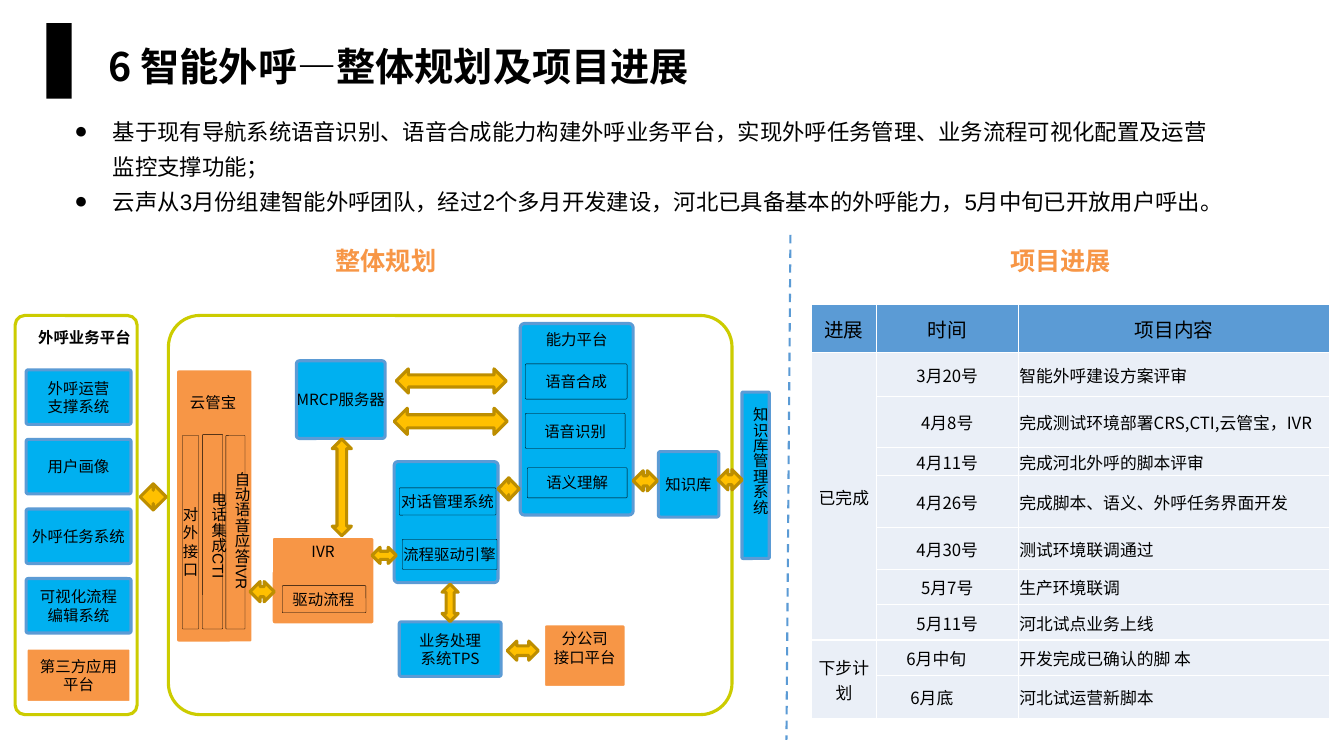
import lxml.etree
import pptx
import pptx.dml.color
import pptx.enum.dml
import pptx.enum.shapes
import pptx.enum.text
import pptx.oxml.ns
import pptx.util

PX = 9144  # EMU per px, 100 px to the inch
CJK = "Noto Sans CJK SC"
COLORS = {
    "ink": "000000", "white": "FFFFFF", "blue": "00B0F0", "edge": "5B9BD5",
    "orange": "F79646", "gold": "FFC000", "bronze": "BD8E00",
    "olive": "CCCC00", "pale": "EAEFF7",
}
# fill, line colour, line width in points
STYLES = {
    "system": ("blue", "edge", 2.25),
    "partner": ("orange", "white", 2.25),
    "module": ("blue", "ink", 0.25),
    "channel": ("orange", "ink", 0.25),
    "caption": ("orange", None, 0),
    "zone": (None, "olive", 2.25),
    "flow": ("gold", "bronze", 2.25),
    "marker": ("ink", None, 0),
}
SHAPES = pptx.enum.shapes.MSO_SHAPE
ALIGN = pptx.enum.text.PP_ALIGN
ANCHOR = pptx.enum.text.MSO_ANCHOR
GROW = pptx.enum.text.MSO_AUTO_SIZE.SHAPE_TO_FIT_TEXT

BULLETS = [
    "基于现有导航系统语音识别、语音合成能力构建外呼业务平台，实现外呼任务管理、业务流程可视化配置及运营监控支撑功能；",
    "云声从3月份组建智能外呼团队，经过2个多月开发建设，河北已具备基本的外呼能力，5月中旬已开放用户呼出。",
]
PLATFORM_SYSTEMS = [
    ("外呼运营\n支撑系统", "system"), ("用户画像", "system"),
    ("外呼任务系统", "system"), ("可视化流程\n编辑系统", "system"),
    ("第三方应用\n平台", "partner"),
]
# text, frame, style, anchor
BOXES = [
    ("", (167, 313, 559, 396), "zone", ANCHOR.MIDDLE),
    ("", (15, 313, 121, 396), "zone", ANCHOR.MIDDLE),
    ("能力平台", (516, 321, 112, 190), "system", ANCHOR.TOP),
    ("", (391, 458, 103, 120), "system", ANCHOR.MIDDLE),
    ("", (736, 389, 27, 165), "system", ANCHOR.MIDDLE),
    ("", (174, 366, 77, 272), "partner", ANCHOR.MIDDLE),
    ("分公司\n接口平台", (539, 619, 82, 63), "partner", ANCHOR.TOP),
    ("IVR", (269, 532, 103, 88), "partner", ANCHOR.TOP),
    ("语音合成", (521, 361, 101, 35), "module", ANCHOR.MIDDLE),
    ("语音识别", (521, 410, 99, 35), "module", ANCHOR.MIDDLE),
    ("语义理解", (523, 464, 99, 30), "module", ANCHOR.MIDDLE),
    ("MRCP服务器", (294, 358, 88, 77), "system", ANCHOR.MIDDLE),
    ("知识库", (653, 448, 60, 65), "system", ANCHOR.MIDDLE),
    ("云管宝", (185, 370, 53, 58), "caption", ANCHOR.MIDDLE),
    ("", (201, 431, 20, 193), "channel", ANCHOR.MIDDLE),
    ("", (224, 432, 19, 192), "channel", ANCHOR.MIDDLE),
    ("业务处理\n系统TPS", (396, 617, 101, 54), "system", ANCHOR.MIDDLE),
    ("对话管理系统", (396, 484, 96, 27), "module", ANCHOR.MIDDLE),
    ("流程驱动引擎", (399, 535, 94, 30), "module", ANCHOR.MIDDLE),
]
# frame, rotation
FLOWS = [
    ((503, 636, 31, 19), 0), ((494, 474, 21, 22), 0), ((369, 543, 24, 16), 0),
    ((139, 480, 26, 26), 0), ((291, 474, 96, 19), 270), ((393, 366, 109, 24), 0),
    ((391, 405, 112, 26), 0), ((628, 467, 24, 20), 0), ((248, 577, 24, 20), 0),
    ((428, 590, 37, 16), 270), ((712, 466, 24, 20), 0),
]
VERTICAL_LABELS = [
    ("知识库管理系统", (729, 394, 39, 181)),
    ("自动语音应答IVR", (215, 458, 39, 183)),
    ("电话集成CTI", (192, 478, 39, 145)),
]
COLUMN_WIDTHS = [64, 141, 309]
ROW_HEIGHTS = [48, 43, 51, 28, 51, 42, 35, 35, 35, 43]
PROGRESS = [
    ("进展", "时间", "项目内容"),
    ("已完成", "3月20号", "智能外呼建设方案评审"),
    ("", "4月8号", "完成测试环境部署CRS,CTI,云管宝，IVR"),
    ("", "4月11号", "完成河北外呼的脚本评审"),
    ("", "4月26号", "完成脚本、语义、外呼任务界面开发"),
    ("", "4月30号", "测试环境联调通过"),
    ("", "5月7号", "生产环境联调"),
    ("", "5月11号", "河北试点业务上线"),
    ("下步计划", "6月中旬", "开发完成已确认的脚 本"),
    ("", "6月底", "河北试运营新脚本"),
]
DATE_INDENTS = {8: 30, 9: 34}  # left-aligned dates, by row


def emu(lengths):
    return [length * PX for length in lengths]


def rgb(name):
    return pptx.dml.color.RGBColor.from_string(COLORS[name])


def apply_format(target, values):
    for name, value in values.items():
        setattr(target, name, value)


def add_xml(parent, tag, **attributes):
    return lxml.etree.SubElement(parent, pptx.oxml.ns.qn(tag), attributes)


def write_text(frame, text, size=11, color="ink", bold=False, latin=CJK, **paragraph_format):
    """Fill a text frame, one paragraph per line of text."""
    frame.text = text
    for paragraph in frame.paragraphs:
        apply_format(paragraph, paragraph_format)
        for run in paragraph.runs:
            run.font.color.rgb = rgb(color)
            apply_format(run.font, {"size": pptx.util.Pt(size), "bold": bold, "name": latin})
            add_xml(run._r.get_or_add_rPr(), "a:ea", typeface=CJK)


def add_block(slide, kind, frame, style):
    fill, line, width = STYLES[style]
    block = slide.shapes.add_shape(kind, *emu(frame))
    block.shadow.inherit = False
    if fill:
        block.fill.solid()
        block.fill.fore_color.rgb = rgb(fill)
    else:
        block.fill.background()
    if line:
        block.line.color.rgb = rgb(line)
        block.line.width = pptx.util.Pt(width)
    else:
        block.line.fill.background()
    return block


def add_box(slide, text, frame, style, anchor=ANCHOR.MIDDLE, align=ALIGN.CENTER):
    box = add_block(slide, SHAPES.ROUNDED_RECTANGLE, frame, style)
    box.adjustments[0] = 0.079 if style == "zone" else 0.037
    if text:
        apply_format(box.text_frame, {"word_wrap": False, "vertical_anchor": anchor})
        write_text(box.text_frame, text, alignment=align)
    return box


def add_label(slide, text, frame, frame_format, **text_format):
    label = slide.shapes.add_textbox(*emu(frame))
    apply_format(label.text_frame, frame_format)
    write_text(label.text_frame, text, **text_format)
    return label.text_frame


def add_bullets(slide):
    body = add_label(slide, "\n".join(BULLETS), (64, 104, 1151, 99), {"word_wrap": True},
                     size=16, latin="Arial", line_spacing=1.3)
    for paragraph in body.paragraphs:
        properties = paragraph._p.get_or_add_pPr()
        apply_margin = {"marL": 38 * PX, "indent": -38 * PX}
        for name, value in apply_margin.items():
            properties.set(name, str(value))
        add_xml(properties, "a:buFont", typeface="Arial")
        add_xml(properties, "a:buChar", char="●")


def add_divider(slide):
    divider = slide.shapes.add_connector(
        pptx.enum.shapes.MSO_CONNECTOR.STRAIGHT, *emu((784, 233, 780, 734)))
    divider.line.color.rgb = rgb("edge")
    apply_format(divider.line, {"width": pptx.util.Pt(1.5),
                                "dash_style": pptx.enum.dml.MSO_LINE.DASH})
    add_xml(divider._element.spPr, "a:effectLst")


def format_cell(cell, fill):
    """Give a cell white borders, narrow margins and a fill."""
    properties = cell._tc.get_or_add_tcPr()
    for side in ("a:lnL", "a:lnR", "a:lnT", "a:lnB"):
        border = add_xml(properties, side, w="12700")
        add_xml(add_xml(border, "a:solidFill"), "a:srgbClr", val=COLORS["white"])
    cell.fill.solid()
    cell.fill.fore_color.rgb = rgb(fill)
    apply_format(cell, {"margin_left": PX, "margin_top": PX, "margin_right": PX,
                        "margin_bottom": 0, "vertical_anchor": ANCHOR.MIDDLE})


def add_progress_table(slide):
    frame = (805, 302, sum(COLUMN_WIDTHS), sum(ROW_HEIGHTS))
    table = slide.shapes.add_table(len(PROGRESS), len(COLUMN_WIDTHS), *emu(frame)).table
    for column, width in zip(table.columns, COLUMN_WIDTHS):
        column.width = width * PX
    for row, height in zip(table.rows, ROW_HEIGHTS):
        row.height = height * PX
    for r, entry in enumerate(PROGRESS):
        for c, text in enumerate(entry):
            cell = table.cell(r, c)
            format_cell(cell, "pale" if r else "edge")
            indented = c == 1 and r in DATE_INDENTS
            if indented:
                cell.margin_left = DATE_INDENTS[r] * PX
            left = indented or (r > 0 and c == 2)
            write_text(cell.text_frame, text, size=12 if r else 14,
                       alignment=ALIGN.LEFT if left else ALIGN.CENTER)
    for first, last in ((1, 7), (8, 9)):
        table.cell(first, 0).merge(table.cell(last, 0))


def add_architecture(slide):
    for box in BOXES:
        add_box(slide, *box)
    for i, (text, style) in enumerate(PLATFORM_SYSTEMS):
        add_box(slide, text, (26, 367 + 69 * i, 104, 54), style)
    add_box(slide, "驱动流程", (280, 581, 83, 27), "channel", align=ALIGN.LEFT)
    interface = add_box(slide, "对\n外\n接\n口", (181, 432, 16, 192), "channel")
    interface.text_frame.margin_top = 24 * PX
    for frame, rotation in FLOWS:
        add_block(slide, SHAPES.LEFT_RIGHT_ARROW, frame, "flow").rotation = rotation
    for text, frame in VERTICAL_LABELS:
        label = add_label(slide, text, frame, {"word_wrap": True, "auto_size": GROW}, latin="Arial")
        label._txBody.bodyPr.set("vert", "eaVert")


def main():
    deck = pptx.Presentation()
    apply_format(deck, {"slide_width": 1333 * PX, "slide_height": 750 * PX})
    slide = deck.slides.add_slide(deck.slide_layouts[6])
    add_block(slide, SHAPES.RECTANGLE, (46, 23, 25, 75), "marker")
    add_label(slide, "6 智能外呼—整体规划及项目进展", (98, 26, 1211, 85),
              {"word_wrap": True, "vertical_anchor": ANCHOR.MIDDLE},
              size=28, bold=True, line_spacing=0.9)
    add_bullets(slide)
    add_divider(slide)
    add_architecture(slide)
    heading = {"word_wrap": False, "auto_size": GROW}
    add_label(slide, "外呼业务平台", (28, 321, 113, 29), heading, bold=True)
    for text, left in (("整体规划", 323), ("项目进展", 992)):
        add_label(slide, text, (left, 238, 121, 40), heading, size=18, color="orange", bold=True)
    add_progress_table(slide)
    deck.save("out.pptx")


if __name__ == "__main__":
    main()
